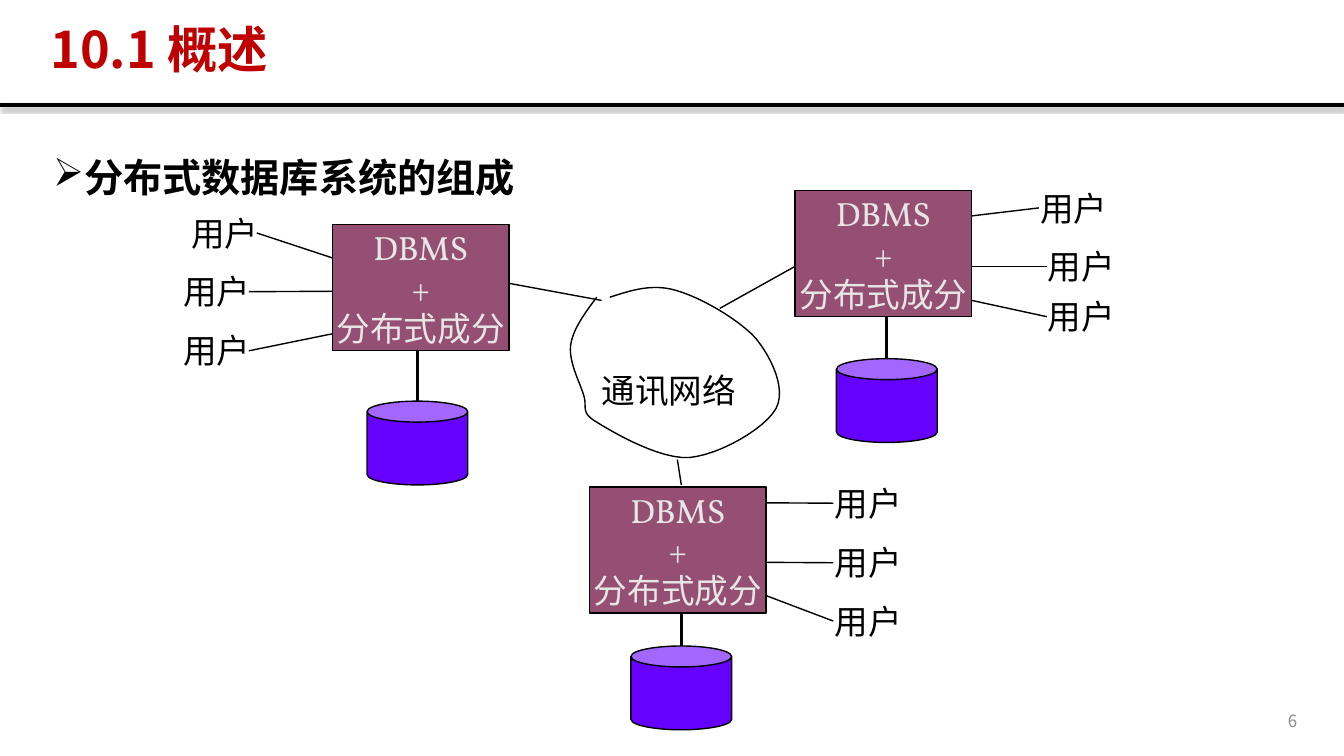
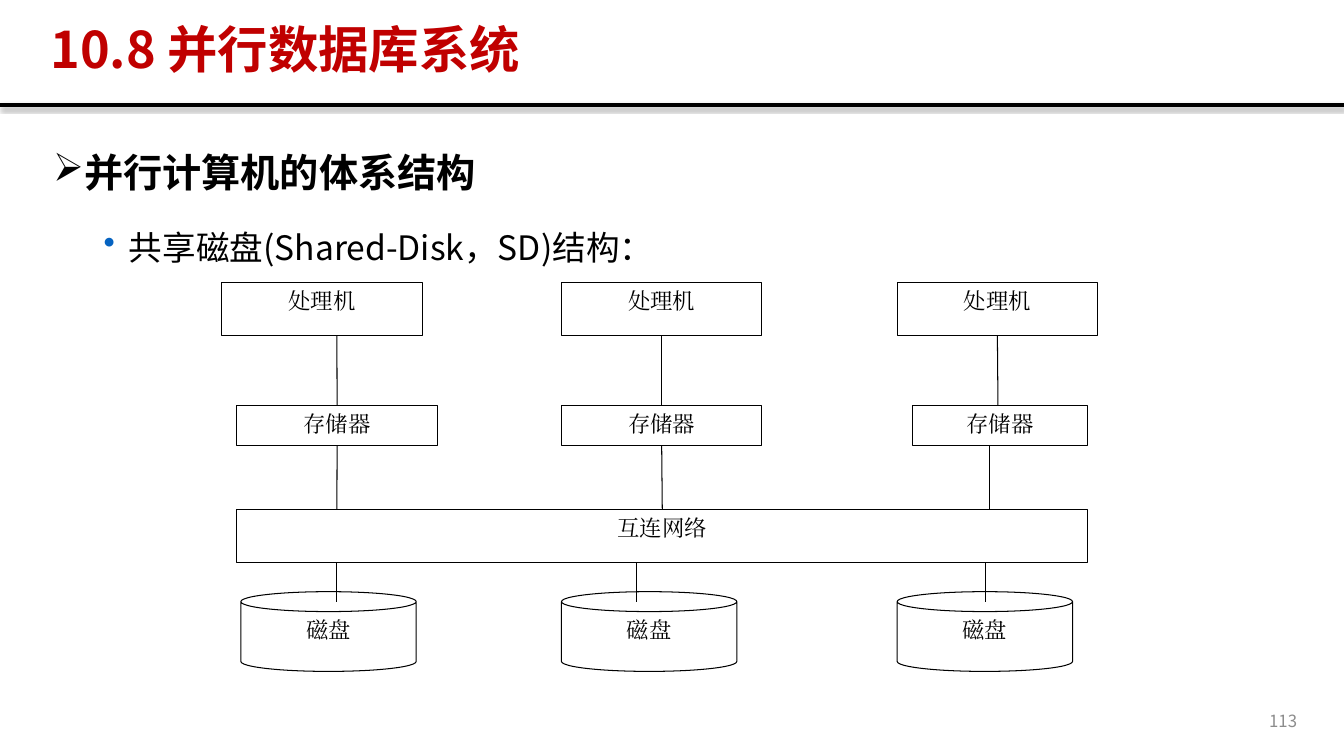
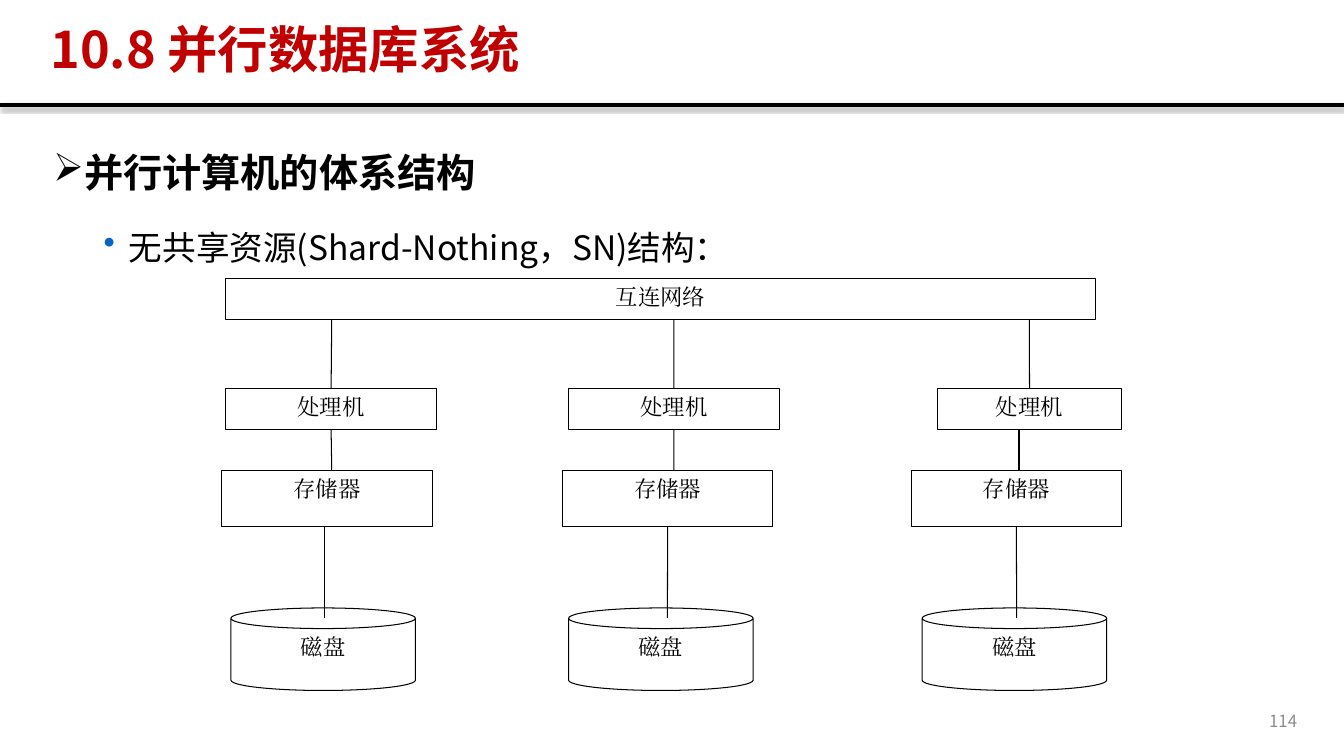
from dataclasses import dataclass

from lxml.etree import SubElement
from pptx import Presentation
from pptx.dml.color import RGBColor
from pptx.enum.shapes import MSO_CONNECTOR, MSO_SHAPE
from pptx.enum.text import MSO_ANCHOR, PP_ALIGN
from pptx.oxml.ns import qn
from pptx.util import Cm, Pt


@dataclass(frozen=True)
class Theme:
    title_color: str = "C00000"
    ink: str = "000000"
    paper: str = "FFFFFF"
    page_color: str = "8C8C8C"
    bullet_color: str = "0563C1"
    site_fill: str = "954F72"
    site_text: str = "E7E6E6"
    store_fill: str = "6600FF"
    main_font: str = "Noto Sans CJK SC"
    network_font: str = "Vollkorn"
    box_font: str = "Times New Roman"
    title_size: int = 36
    heading_size: int = 28
    body_size: int = 24
    box_size: int = 16
    page_size: int = 12
    rule_line: float = 3
    stem_line: float = 2.25
    network_line: float = 1
    box_line: float = 0.75


THEME = Theme()

SITE_TEXT = "DBMS\n+\n分布式成分"
SITE_SIZE = (4.45, 3.18)
STORE_SIZE = (2.54, 2.11)
USER_SIZE = (2.21, 1.27)
USER_LINE_DROP = 0.64
USER_LINE_INSET = {"left": 1.9, "right": 0.22}
SITES = [
    {"box": (8.38, 5.66), "store": (9.25, 10.11), "side": "left",
     "users": [(4.57, 5.23, 6.5), (4.37, 6.71, 7.34), (4.37, 8.2, 8.41)]},
    {"box": (20.04, 4.8), "store": (21.08, 9.04), "side": "right",
     "users": [(25.96, 4.6, 5.44), (26.16, 6.07, 6.71), (26.16, 7.34, 7.57)]},
    {"box": (14.86, 12.27), "store": (15.9, 16.28), "side": "right",
     "users": [(20.78, 12.04, 12.67), (20.78, 13.54, 14.17), (20.78, 15.01, 15.01)]},
]
CLOUD_START = (15.37, 7.49)
CLOUD_CURVES = [
    ((15.9, 7.32), (16.43, 7.14), (17.04, 7.32)),
    ((17.65, 7.49), (18.62, 8.05), (19.05, 8.53)),
    ((19.46, 9.04), (19.81, 9.8), (19.56, 10.29)),
    ((19.28, 10.8), (18.14, 11.46), (17.37, 11.53)),
    ((16.64, 11.58), (15.49, 10.92), (15.04, 10.64)),
    ((14.61, 10.39), (14.81, 10.26), (14.71, 9.96)),
    ((14.61, 9.63), (14.33, 9.12), (14.38, 8.71)),
    ((14.43, 8.31), (14.73, 7.9), (15.04, 7.49)),
]
CLOUD_LINKS = [
    ((12.83, 7.14), (15.16, 7.57)),
    ((18.14, 7.77), (20.04, 6.71)),
    ((17.07, 11.58), (17.17, 12.22)),
]
CLOUD_LABEL = ("通讯网络", (14.91, 9.19, 3.89, 1.27))

SHARED_DISK = {
    "tiers": [
        ("处理机", 7.11, 1.35, [(5.59, 5.05), (14.15, 5.05), (22.61, 5.05)]),
        ("存储器", 10.21, 1.02, [(5.97, 5.05), (14.15, 5.05), (22.99, 4.42)]),
        ("互连网络", 12.83, 1.35, [(5.97, 21.44)]),
        ("磁盘", 14.91, 2.01, [(6.07, 4.42), (14.15, 4.42), (22.61, 4.42)]),
    ],
    "links": [(8.49, 16.66, 25.15), (8.49, 16.69, 24.94), (8.49, 16.05, 24.84)],
}
SHARED_NOTHING = {
    "tiers": [
        ("互连网络", 7.01, 1.04, [(5.69, 21.92)]),
        ("处理机", 9.78, 1.04, [(5.69, 5.31), (14.33, 5.31), (23.62, 4.65)]),
        ("存储器", 11.86, 1.4, [(5.59, 5.31), (14.17, 5.31), (22.96, 5.31)]),
        ("磁盘", 15.32, 2.08, [(5.82, 4.65), (14.33, 4.65), (23.24, 4.65)]),
    ],
    "links": [(8.36, 16.98, 25.94), (8.36, 16.98, 25.68), (8.18, 16.82, 25.62)],
}
DISK_LABEL = "磁盘"
LID_DEPTH = 0.25
JOIN_TOLERANCE = 0.04


def write(text_frame, text, font, size, color, bold=False, align=PP_ALIGN.LEFT):
    text_frame.text = text
    for paragraph in text_frame.paragraphs:
        paragraph.alignment = align
        for run in paragraph.runs:
            run.font.name = font
            run.font.size = Pt(size)
            run.font.bold = bold
            run.font.color.rgb = RGBColor.from_string(color)
            SubElement(run._r.get_or_add_rPr(), qn("a:ea"), typeface=font)


def add_text(slide, area, text, font, size, color, wrap=True,
             anchor=MSO_ANCHOR.TOP, **style):
    text_frame = slide.shapes.add_textbox(*map(Cm, area)).text_frame
    text_frame.word_wrap = wrap
    text_frame.vertical_anchor = anchor
    write(text_frame, text, font, size, color, **style)
    return text_frame


def add_box(slide, kind, area, fill, width):
    shape = slide.shapes.add_shape(kind, *map(Cm, area))
    shape.shadow.inherit = False
    shape.fill.solid()
    shape.fill.fore_color.rgb = RGBColor.from_string(fill)
    shape.line.color.rgb = RGBColor.from_string(THEME.ink)
    shape.line.width = Pt(width)
    return shape


def add_line(slide, start, end, width):
    connector = slide.shapes.add_connector(
        MSO_CONNECTOR.STRAIGHT, *map(Cm, (*start, *end)))
    connector.line.color.rgb = RGBColor.from_string(THEME.ink)
    connector.line.width = Pt(width)
    SubElement(connector._element.spPr, qn("a:effectLst"))
    return connector


def add_rule(slide, width):
    rule = add_line(slide, (0, 2.64), (width, 2.64), THEME.rule_line)
    effects = rule._element.spPr.find(qn("a:effectLst"))
    shadow = SubElement(effects, qn("a:outerShdw"), blurRad="40000",
                        dist="23000", dir="5400000", rotWithShape="0")
    color = SubElement(shadow, qn("a:srgbClr"), val=THEME.ink)
    SubElement(color, qn("a:alpha"), val="35000")


def add_bullet(paragraph, character, left, spacing, color=None):
    properties = paragraph._p.get_or_add_pPr()
    properties.set("marL", str(Cm(left)))
    properties.set("indent", str(-Cm(0.64)))
    if color:
        holder = SubElement(properties, qn("a:buClr"))
        SubElement(holder, qn("a:srgbClr"), val=color)
    SubElement(properties, qn("a:buChar"), char=character)
    paragraph.line_spacing = spacing


def add_page(presentation, title, heading, number, detail=None):
    slide = presentation.slides.add_slide(presentation.slide_layouts[6])
    add_rule(slide, 33.87)
    add_text(slide, (25.32, 17.65, 7.62, 1.02), number, THEME.main_font,
             THEME.page_size, THEME.page_color, anchor=MSO_ANCHOR.MIDDLE,
             align=PP_ALIGN.RIGHT)
    title_frame = add_text(slide, (1.02, 0.48, 29.72, 1.65), title, THEME.main_font,
                           THEME.title_size, THEME.title_color, bold=True,
                           anchor=MSO_ANCHOR.MIDDLE)
    title_frame.paragraphs[0].line_spacing = 0.9
    lines = [heading, detail] if detail else [heading]
    body = add_text(slide, (1.09, 3.38, 31.83, 13.77), "\n".join(lines),
                    THEME.main_font, THEME.heading_size, THEME.ink, bold=True)
    add_bullet(body.paragraphs[0], "➢", 0.64, 1.2 if detail else 1.3)
    if detail:
        paragraph = body.paragraphs[1]
        add_bullet(paragraph, "•", 1.91, 1.6, THEME.bullet_color)
        paragraph.level = 1
        paragraph.space_before = Pt(5)
        for run in paragraph.runs:
            run.font.size = Pt(THEME.body_size)
            run.font.bold = False
    return slide


def add_network_text(slide, text, area):
    add_text(slide, area, text, THEME.network_font, THEME.body_size, THEME.ink,
             wrap=False)


def add_site(slide, site):
    left, top = site["box"]
    width, height = SITE_SIZE
    box = add_box(slide, MSO_SHAPE.RECTANGLE, (left, top, width, height),
                  THEME.site_fill, THEME.network_line)
    box.text_frame.word_wrap = False
    box.text_frame.vertical_anchor = MSO_ANCHOR.MIDDLE
    write(box.text_frame, SITE_TEXT, THEME.network_font, THEME.body_size,
          THEME.site_text, align=PP_ALIGN.CENTER)
    add_box(slide, MSO_SHAPE.CAN, (*site["store"], *STORE_SIZE),
            THEME.store_fill, THEME.network_line)
    stem_x = site["store"][0] + STORE_SIZE[0] / 2
    add_line(slide, (stem_x, top + height), (stem_x, site["store"][1]),
             THEME.stem_line)
    side = site["side"]
    edge = left if side == "left" else left + width
    for user_left, user_top, edge_y in site["users"]:
        add_network_text(slide, "用户", (user_left, user_top, *USER_SIZE))
        add_line(slide, (edge, edge_y),
                 (user_left + USER_LINE_INSET[side], user_top + USER_LINE_DROP),
                 THEME.network_line)


def curve_point(points, t):
    weights = ((1 - t) ** 3, 3 * t * (1 - t) ** 2, 3 * t * t * (1 - t), t ** 3)
    return tuple(Cm(sum(weight * point[axis] for weight, point in zip(weights, points)))
                 for axis in (0, 1))


def add_cloud(slide, steps=12):
    outline = []
    start = CLOUD_START
    for curve in CLOUD_CURVES:
        outline += [curve_point((start, *curve), step / steps)
                    for step in range(1, steps + 1)]
        start = curve[-1]
    builder = slide.shapes.build_freeform(*map(Cm, CLOUD_START))
    builder.add_line_segments(outline, close=False)
    cloud = builder.convert_to_shape()
    cloud.shadow.inherit = False
    cloud.fill.background()
    cloud.line.color.rgb = RGBColor.from_string(THEME.ink)
    cloud.line.width = Pt(THEME.network_line)
    add_network_text(slide, *CLOUD_LABEL)
    for start, end in CLOUD_LINKS:
        add_line(slide, start, end, THEME.network_line)


def add_tier(slide, label, top, height, spans):
    kind = MSO_SHAPE.CAN if label == DISK_LABEL else MSO_SHAPE.RECTANGLE
    boxes = []
    for left, width in spans:
        box = add_box(slide, kind, (left, top, width, height), THEME.paper,
                      THEME.box_line)
        box.text_frame.vertical_anchor = MSO_ANCHOR.TOP
        write(box.text_frame, label, THEME.box_font, THEME.box_size, THEME.ink,
              align=PP_ALIGN.CENTER)
        boxes.append(box)
    return boxes


def box_centred_at(boxes, x):
    return next((box for box in boxes
                 if abs(box.left + box.width / 2 - Cm(x)) <= Cm(JOIN_TOLERANCE)), None)


def add_architecture(slide, architecture):
    tiers = architecture["tiers"]
    rows = [add_tier(slide, *tier) for tier in tiers]
    for index, columns in enumerate(architecture["links"]):
        _, upper_top, upper_height, _ = tiers[index]
        lower_label, lower_top, _, _ = tiers[index + 1]
        into_disk = lower_label == DISK_LABEL
        end_y = lower_top + (LID_DEPTH if into_disk else 0)
        for x in columns:
            link = add_line(slide, (x, upper_top + upper_height), (x, end_y),
                            THEME.box_line)
            upper = box_centred_at(rows[index], x)
            lower = box_centred_at(rows[index + 1], x)
            if upper:
                link.begin_connect(upper, 2)
            if lower and not into_disk:
                link.end_connect(lower, 0)


def main():
    presentation = Presentation()
    presentation.slide_width = Cm(33.87)
    presentation.slide_height = Cm(19.05)

    overview = add_page(presentation, "10.1 概述", "分布式数据库系统的组成", "6")
    for site in SITES:
        add_site(overview, site)
    add_cloud(overview)

    for number, detail, architecture in (
        ("113", "共享磁盘(Shared-Disk，SD)结构：", SHARED_DISK),
        ("114", "无共享资源(Shard-Nothing，SN)结构：", SHARED_NOTHING),
    ):
        slide = add_page(presentation, "10.8 并行数据库系统", "并行计算机的体系结构",
                         number, detail)
        add_architecture(slide, architecture)

    presentation.save("out.pptx")


if __name__ == "__main__":
    main()
